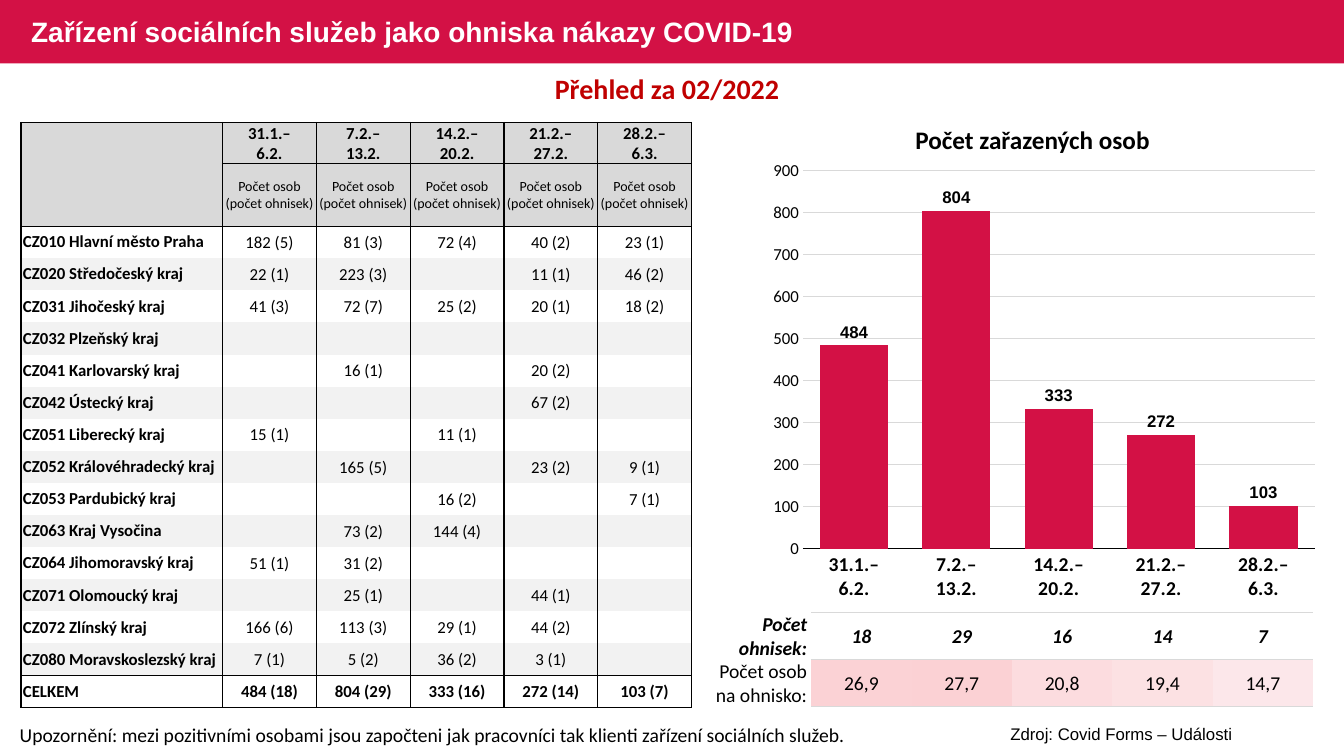
import pptx
import pptx.chart.data
import pptx.dml.color
import pptx.enum.chart
import pptx.enum.shapes
import pptx.enum.text
import pptx.oxml
import pptx.oxml.ns
import pptx.util

Pt = pptx.util.Pt
RGBColor = pptx.dml.color.RGBColor
ALIGN = pptx.enum.text.PP_ALIGN
MIDDLE = pptx.enum.text.MSO_ANCHOR.MIDDLE
qn = pptx.oxml.ns.qn

CRIMSON = RGBColor(0xD3, 0x11, 0x45)
DARK_RED = RGBColor(0xC0, 0x00, 0x00)
BLACK = RGBColor(0x00, 0x00, 0x00)
WHITE = RGBColor(0xFF, 0xFF, 0xFF)
GREY = RGBColor(0xD9, 0xD9, 0xD9)
BAND = RGBColor(0xF2, 0xF2, 0xF2)
PINKS = [RGBColor(0xFB, 0xD2, 0xD5), RGBColor(0xFB, 0xD1, 0xD4), RGBColor(0xFC, 0xDC, 0xDF),
         RGBColor(0xFC, 0xE1, 0xE3), RGBColor(0xFC, 0xE7, 0xEA)]
NO_STYLE = "{2D5ABB26-0587-4C30-8999-92F81FD0307C}"
CELL_MARGINS = (0.7, 0.7, 0.7, 0)

WEEKS = ["31.1.–\n6.2.", "7.2.–\n13.2.", "14.2.–\n20.2.", "21.2.–\n27.2.", "28.2.–\n6.3."]
PERSONS = [484, 804, 333, 272, 103]
OUTBREAKS = ["18", "29", "16", "14", "7"]
PER_OUTBREAK = ["26,9", "27,7", "20,8", "19,4", "14,7"]
REGIONS = [
    ["CZ010 Hlavní město Praha", "182 (5)", "81 (3)", "72 (4)", "40 (2)", "23 (1)"],
    ["CZ020 Středočeský kraj", "22 (1)", "223 (3)", "", "11 (1)", "46 (2)"],
    ["CZ031 Jihočeský kraj", "41 (3)", "72 (7)", "25 (2)", "20 (1)", "18 (2)"],
    ["CZ032 Plzeňský kraj", "", "", "", "", ""],
    ["CZ041 Karlovarský kraj", "", "16 (1)", "", "20 (2)", ""],
    ["CZ042 Ústecký kraj", "", "", "", "67 (2)", ""],
    ["CZ051 Liberecký kraj", "15 (1)", "", "11 (1)", "", ""],
    ["CZ052 Královéhradecký kraj", "", "165 (5)", "", "23 (2)", "9 (1)"],
    ["CZ053 Pardubický kraj", "", "", "16 (2)", "", "7 (1)"],
    ["CZ063 Kraj Vysočina", "", "73 (2)", "144 (4)", "", ""],
    ["CZ064 Jihomoravský kraj", "51 (1)", "31 (2)", "", "", ""],
    ["CZ071 Olomoucký kraj", "", "25 (1)", "", "44 (1)", ""],
    ["CZ072 Zlínský kraj", "166 (6)", "113 (3)", "29 (1)", "44 (2)", ""],
    ["CZ080 Moravskoslezský kraj", "7 (1)", "5 (2)", "36 (2)", "3 (1)", ""],
    ["CELKEM", "484 (18)", "804 (29)", "333 (16)", "272 (14)", "103 (7)"],
]


def set_font(font, size, color=BLACK, bold=False, italic=False, name="Calibri"):
    font.size, font.name, font.bold, font.italic = Pt(size), name, bold, italic
    font.color.rgb = color


def write(p, text, size, align=ALIGN.LEFT, **style):
    p.alignment = align
    for i, line in enumerate(text.split("\n")):
        if i:
            p.add_line_break()
        if line:
            r = p.add_run()
            r.text = line
            set_font(r.font, size, **style)
    p._p.get_or_add_endParaRPr().set("sz", str(size * 100))


def add_text(s, box, text, size, **style):
    tf = s.shapes.add_textbox(*map(Pt, box)).text_frame
    tf.word_wrap = True
    write(tf.paragraphs[0], text, size, **style)


def add_grid(s, box, widths, heights):
    tbl = s.shapes.add_table(len(heights), len(widths), *map(Pt, box)).table
    tbl.first_row = tbl.horz_banding = False
    tbl._tbl.tblPr.find(qn("a:tableStyleId")).text = NO_STYLE
    for col, width in zip(tbl.columns, widths):
        col.width = Pt(width)
    for row, height in zip(tbl.rows, heights):
        row.height = Pt(height)
    return tbl


def format_cell(cell, fill=None, borders={}, line=BLACK, margins=CELL_MARGINS):
    cell.vertical_anchor = MIDDLE
    cell.margin_left, cell.margin_right, cell.margin_top, cell.margin_bottom = map(Pt, margins)
    tcPr = cell._tc.get_or_add_tcPr()
    for side in "LRTB":
        paint = "<a:noFill/>"
        if side in borders:
            paint = f'<a:solidFill><a:srgbClr val="{line}"/></a:solidFill>'
        tcPr.append(pptx.oxml.parse_xml(
            f'<a:ln{side} {pptx.oxml.ns.nsdecls("a")} w="{Pt(borders.get(side, 1))}">{paint}</a:ln{side}>'))
    if fill is None:
        cell.fill.background()
    else:
        cell.fill.solid()
        cell.fill.fore_color.rgb = fill


def add_header(s, box):
    x, y, w, h = box
    banner = s.shapes.add_shape(pptx.enum.shapes.MSO_SHAPE.RECTANGLE, *map(Pt, box))
    banner.shadow.inherit = False
    banner.fill.solid()
    banner.fill.fore_color.rgb = CRIMSON
    banner.line.fill.background()
    s.shapes._spTree.insert(2, banner._element)
    title = s.shapes.title
    title.left, title.top, title.width, title.height = map(Pt, (x + 15, y + 1, 585, h))
    tf = title.text_frame
    tf.vertical_anchor = MIDDLE
    tf.word_wrap = True
    p = tf.paragraphs[0]
    p.line_spacing = 0.9
    write(p, "Zařízení sociálních služeb jako ohniska nákazy COVID-19", 20,
          color=WHITE, bold=True, name="Arial")


def add_region_table(s, box):
    x, y, w, h = box
    label_w, week_h, unit_h = 144, 29.5, 44.5
    week_w = (w - label_w) / len(WEEKS)
    row_h = (h - week_h - unit_h) / len(REGIONS)
    rows = [[""] + WEEKS, [""] + ["Počet osob (počet ohnisek)"] * len(WEEKS)] + REGIONS
    tbl = add_grid(s, box, [label_w] + [week_w] * len(WEEKS),
                   [week_h, unit_h] + [row_h] * len(REGIONS))
    last = len(rows) - 1
    rules = {0: 1, 1: 1, 2: 0.5, last: 1, last + 1: 1}
    for i, row in enumerate(rows):
        for j, text in enumerate(row):
            cell = tbl.cell(i, j)
            borders = {"L": 1, "R": 1}
            for side, edge in (("T", i), ("B", i + 1)):
                if edge in rules and (edge, j) != (1, 0):
                    borders[side] = rules[edge]
            fill = GREY if i < 2 else BAND if i % 2 and i < last else WHITE
            format_cell(cell, fill, borders, margins=CELL_MARGINS if j else (1.4, 1.4, 0, 0))
            write(cell.text_frame.paragraphs[0], text, 10 if i == 1 else 12,
                  align=ALIGN.CENTER if j else ALIGN.LEFT,
                  bold=i in (0, last) or j == 0)


def add_persons_chart(s, box):
    x, y, w, h = box
    data = pptx.chart.data.CategoryChartData()
    data.categories = WEEKS
    data.add_series("Series 1", PERSONS)
    chart = s.shapes.add_chart(pptx.enum.chart.XL_CHART_TYPE.COLUMN_CLUSTERED,
                               Pt(x), Pt(y + 23), Pt(w), Pt(h - 23), data).chart
    chart.has_legend = chart.has_title = False
    set_font(chart.font, 14, bold=True, name="Arial")

    no_ticks = pptx.enum.chart.XL_TICK_MARK.NONE
    weeks, persons = chart.category_axis, chart.value_axis
    for axis in (weeks, persons):
        axis.major_tick_mark = axis.minor_tick_mark = no_ticks
    set_font(weeks.tick_labels.font, 14, bold=True)
    weeks.format.line.color.rgb = BLACK
    weeks.format.line.width = Pt(0.75)
    set_font(persons.tick_labels.font, 12)
    persons.minimum_scale, persons.maximum_scale, persons.major_unit = 0, 900, 100
    persons.format.line.fill.background()
    persons.major_gridlines.format.line.color.rgb = GREY
    persons.major_gridlines.format.line.width = Pt(0.75)

    plot = chart.plots[0]
    plot.gap_width = 50
    plot.vary_by_categories = False
    fill = plot.series[0].format.fill
    fill.solid()
    fill.fore_color.rgb = CRIMSON
    labels = plot.series[0].data_labels
    labels.show_value = True
    labels.position = pptx.enum.chart.XL_LABEL_POSITION.OUTSIDE_END
    set_font(labels.font, 12, bold=True, name="Arial")

    area = chart._chartSpace.chart.plotArea
    layout = area.find(qn("c:layout"))
    if layout is not None:
        area.remove(layout)
    places = "".join(f'<c:{k} val="{v}"/>' for k, v in [
        ("layoutTarget", "inner"), ("xMode", "edge"), ("yMode", "edge"),
        ("x", 0.073), ("y", 0.041), ("w", 0.905), ("h", 0.825)])
    area.insert(0, pptx.oxml.parse_xml(
        f'<c:layout {pptx.oxml.ns.nsdecls("c")}><c:manualLayout>{places}</c:manualLayout></c:layout>'))
    add_text(s, (x, y, w - 17, 29), "Počet zařazených osob", 18, align=ALIGN.CENTER, bold=True)


def add_outbreak_values(s, box):
    x, y, w, h = box
    tbl = add_grid(s, box, [w / len(WEEKS)] * len(WEEKS), [h / 2] * 2)
    for i, row in enumerate([OUTBREAKS, PER_OUTBREAK]):
        for j, text in enumerate(row):
            cell = tbl.cell(i, j)
            format_cell(cell, PINKS[j] if i else None)
            write(cell.text_frame.paragraphs[0], text, 14, align=ALIGN.CENTER,
                  bold=i == 0, italic=i == 0)


def add_outbreak_labels(s, box):
    x, y, w, h = box
    label_w, rest = 72.5, 7
    tbl = add_grid(s, box, [label_w] + [(w - label_w) / rest] * rest, [h / 2] * 2)
    for i, label in enumerate(["Počet ohnisek:", "Počet osob na ohnisko:"]):
        for j, text in enumerate([label] + [""] * rest):
            cell = tbl.cell(i, j)
            format_cell(cell, None, {"T": 1, "B": 1} if j else {}, GREY, (0.7, 3, 0, 0))
            write(cell.text_frame.paragraphs[0], text, 14, align=ALIGN.RIGHT,
                  bold=i == 0, italic=i == 0)


def add_notes_line(s, box):
    x, y, w, h = box
    add_text(s, (x, y, 613, h), "Upozornění: mezi pozitivními osobami jsou započteni jak pracovníci "
             "tak klienti zařízení sociálních služeb.", 14)
    add_text(s, (x + 643, y + 1, 302, h), "Zdroj: Covid Forms – Události", 12,
             align=ALIGN.CENTER, name="Arial")


def main():
    prs = pptx.Presentation()
    prs.slide_width, prs.slide_height = Pt(960), Pt(540)
    s = prs.slides.add_slide(prs.slide_layouts[5])
    add_header(s, (0, 0, 960, 45.3))
    add_outbreak_values(s, (579.5, 437.5, 358.5, 67))
    add_notes_line(s, (7, 512.5, 945, 24.5))
    add_text(s, (15, 47.5, 923, 31.5), "Přehled za 02/2022", 20,
             align=ALIGN.CENTER, color=DARK_RED, bold=True)
    add_region_table(s, (15, 87.5, 479, 418))
    add_persons_chart(s, (544, 85.5, 404, 350.5))
    add_outbreak_labels(s, (507, 437.5, 431, 67))
    prs.save("out.pptx")


if __name__ == "__main__":
    main()
